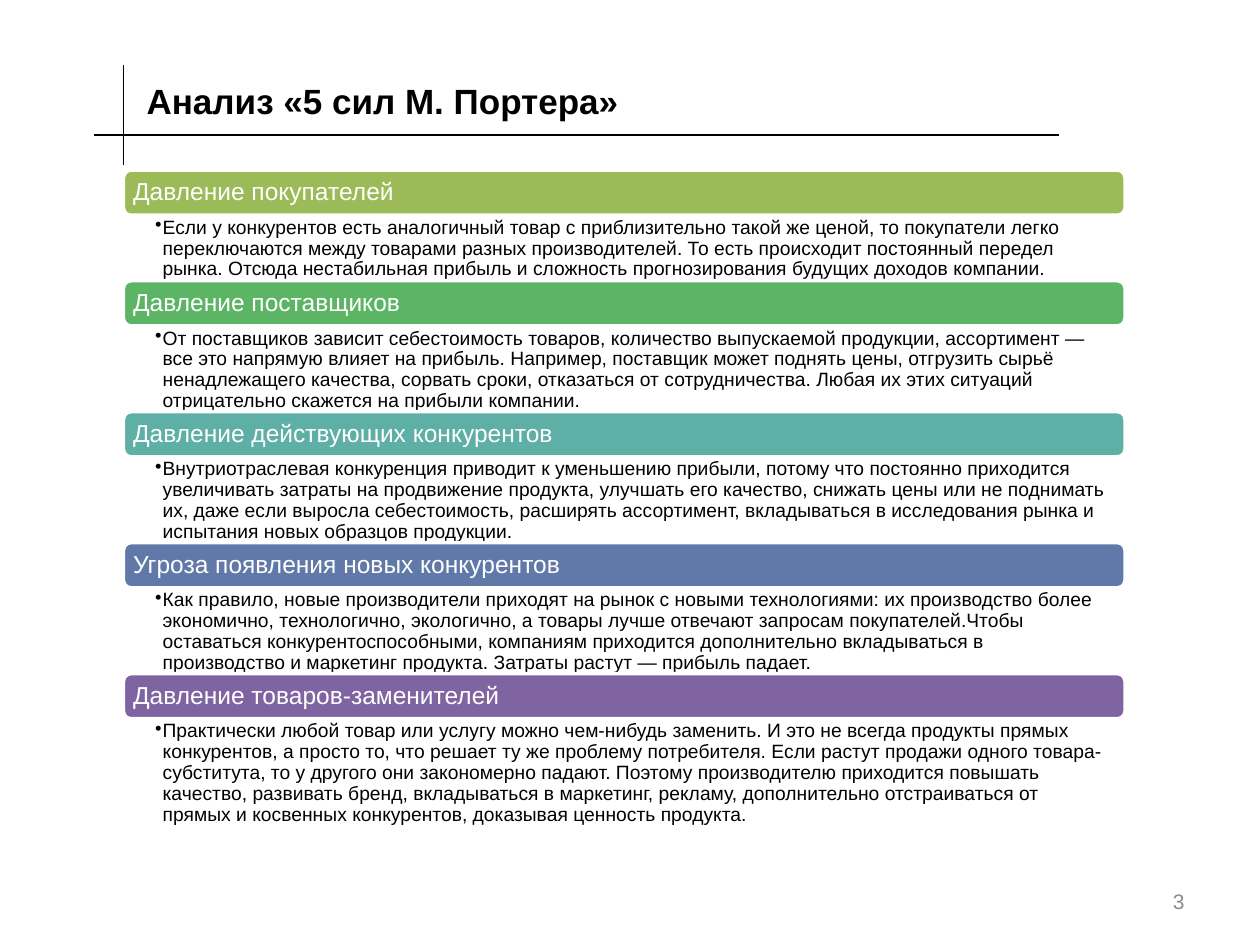
import dataclasses

import pptx
import pptx.dml.color
import pptx.enum.shapes
import pptx.enum.text
import pptx.oxml.ns
import pptx.util
from lxml import etree

Cm = pptx.util.Cm
Pt = pptx.util.Pt
Align = pptx.enum.text.PP_ALIGN
Anchor = pptx.enum.text.MSO_ANCHOR
qn = pptx.oxml.ns.qn

HUES = {
    "ink": "000000",
    "paper": "FFFFFF",
    "grey": "8C8C8C",
    "lime": "9BBB59",
    "green": "5CB565",
    "teal": "5EAFA6",
    "blue": "6179A8",
    "plum": "8064A2",
}
FONT = "Arial"
LEFT, TOP, WIDTH = 2.49, 3.43, 20.19
BAR = 0.91
LINE, PAD = 0.41, 0.09


@dataclasses.dataclass
class Force:
    name: str
    hue: str
    lines: int
    text: str


@dataclasses.dataclass
class Rule:
    x1: float
    y1: float
    x2: float
    y2: float


FORCES = [
    Force("Давление покупателей", "lime", 3,
          "Если у конкурентов есть аналогичный товар с приблизительно такой же ценой, "
          "то покупатели легко переключаются между товарами разных производителей. "
          "То есть происходит постоянный передел рынка. Отсюда нестабильная прибыль "
          "и сложность прогнозирования будущих доходов компании."),
    Force("Давление поставщиков", "green", 4,
          "От поставщиков зависит себестоимость товаров, количество выпускаемой продукции, "
          "ассортимент — все это напрямую влияет на прибыль. Например, поставщик может "
          "поднять цены, отгрузить сырьё ненадлежащего качества, сорвать сроки, отказаться "
          "от сотрудничества. Любая их этих ситуаций отрицательно скажется на прибыли компании."),
    Force("Давление действующих конкурентов", "teal", 4,
          "Внутриотраслевая конкуренция приводит к уменьшению прибыли, потому что постоянно "
          "приходится увеличивать затраты на продвижение продукта, улучшать его качество, "
          "снижать цены или не поднимать их, даже если выросла себестоимость, расширять "
          "ассортимент, вкладываться в исследования рынка и испытания новых образцов продукции."),
    Force("Угроза появления новых конкурентов", "blue", 4,
          "Как правило, новые производители приходят на рынок с новыми технологиями: "
          "их производство более экономично, технологично, экологично, а товары лучше "
          "отвечают запросам покупателей.Чтобы оставаться конкурентоспособными, компаниям "
          "приходится дополнительно вкладываться в производство и маркетинг продукта. "
          "Затраты растут — прибыль падает."),
    Force("Давление товаров-заменителей", "plum", 5,
          "Практически любой товар или услугу можно чем-нибудь заменить. И это не всегда "
          "продукты прямых конкурентов, а просто то, что решает ту же проблему потребителя. "
          "Если растут продажи одного товара-субститута, то у другого они закономерно падают. "
          "Поэтому производителю приходится повышать качество, развивать бренд, вкладываться "
          "в маркетинг, рекламу, дополнительно отстраиваться от прямых и косвенных конкурентов, "
          "доказывая ценность продукта."),
]
RULES = [Rule(1.9, 2.72, 21.34, 2.72), Rule(2.49, 3.33, 2.49, 1.32)]


def tint(hue: str) -> pptx.dml.color.RGBColor:
    return pptx.dml.color.RGBColor.from_string(HUES[hue])


def write(shape, text: str, size: float, hue: str, align=Align.LEFT,
          anchor=Anchor.MIDDLE, bold: bool = False):
    frame = shape.text_frame
    frame.text = text
    frame.word_wrap = True
    frame.auto_size = pptx.enum.text.MSO_AUTO_SIZE.NONE
    frame.vertical_anchor = anchor
    para = frame.paragraphs[0]
    para.alignment = align
    para.font.name = FONT
    para.font.size = Pt(size)
    para.font.bold = bold
    para.font.color.rgb = tint(hue)
    return para


def inset(shape, left: float, top: float, right: float, base: float) -> None:
    frame = shape.text_frame
    frame.margin_left, frame.margin_top = Cm(left), Cm(top)
    frame.margin_right, frame.margin_bottom = Cm(right), Cm(base)


def add_rule(slide, rule: Rule) -> None:
    line = slide.shapes.add_connector(
        pptx.enum.shapes.MSO_CONNECTOR.STRAIGHT,
        Cm(rule.x1), Cm(rule.y1), Cm(rule.x2), Cm(rule.y2))
    line.line.color.rgb = tint("ink")
    line.line.width = Pt(0.75)
    etree.SubElement(line._element.spPr, qn("a:effectLst"))


def add_bar(slide, force: Force, top: float) -> None:
    bar = slide.shapes.add_shape(
        pptx.enum.shapes.MSO_SHAPE.ROUNDED_RECTANGLE,
        Cm(LEFT), Cm(top), Cm(WIDTH), Cm(BAR))
    bar.shadow.inherit = False
    bar.fill.solid()
    bar.fill.fore_color.rgb = tint(force.hue)
    bar.line.color.rgb = tint("paper")
    bar.line.width = Pt(2)
    inset(bar, 0.15, 0.15, 0.15, 0.15)
    write(bar, force.name, 14, "paper").line_spacing = 0.9


def add_note(slide, force: Force, top: float, height: float) -> None:
    box = slide.shapes.add_textbox(Cm(LEFT), Cm(top), Cm(WIDTH), Cm(height))
    inset(box, 0.64, 0.05, 0.28, 0.05)
    para = write(box, force.text, 11, "ink", anchor=Anchor.TOP)
    para.line_spacing = 0.9
    props = para._p.get_or_add_pPr()
    props.set("marL", str(Cm(0.15)))
    props.set("indent", str(-Cm(0.15)))
    etree.SubElement(props, qn("a:buChar")).set("char", "•")
    props.append(props.find(qn("a:defRPr")))


def main() -> None:
    deck = pptx.Presentation()
    deck.slide_width, deck.slide_height = Cm(25.4), Cm(19.05)
    slide = deck.slides.add_slide(deck.slide_layouts[5])

    title = slide.shapes.title
    title.left, title.top = Cm(2.7), Cm(1.32)
    title.width, title.height = Cm(21.46), Cm(1.4)
    write(title, "Анализ «5 сил М. Портера»", 20, "ink", bold=True)

    for rule in RULES:
        add_rule(slide, rule)

    top = TOP
    for force in FORCES:
        height = PAD + LINE * force.lines
        add_bar(slide, force, top)
        add_note(slide, force, top + BAR, height)
        top += BAR + height

    page = slide.shapes.add_textbox(Cm(18.21), Cm(17.65), Cm(5.92), Cm(1.02))
    write(page, "3", 12, "grey", align=Align.RIGHT)

    deck.save("out.pptx")


if __name__ == "__main__":
    main()
